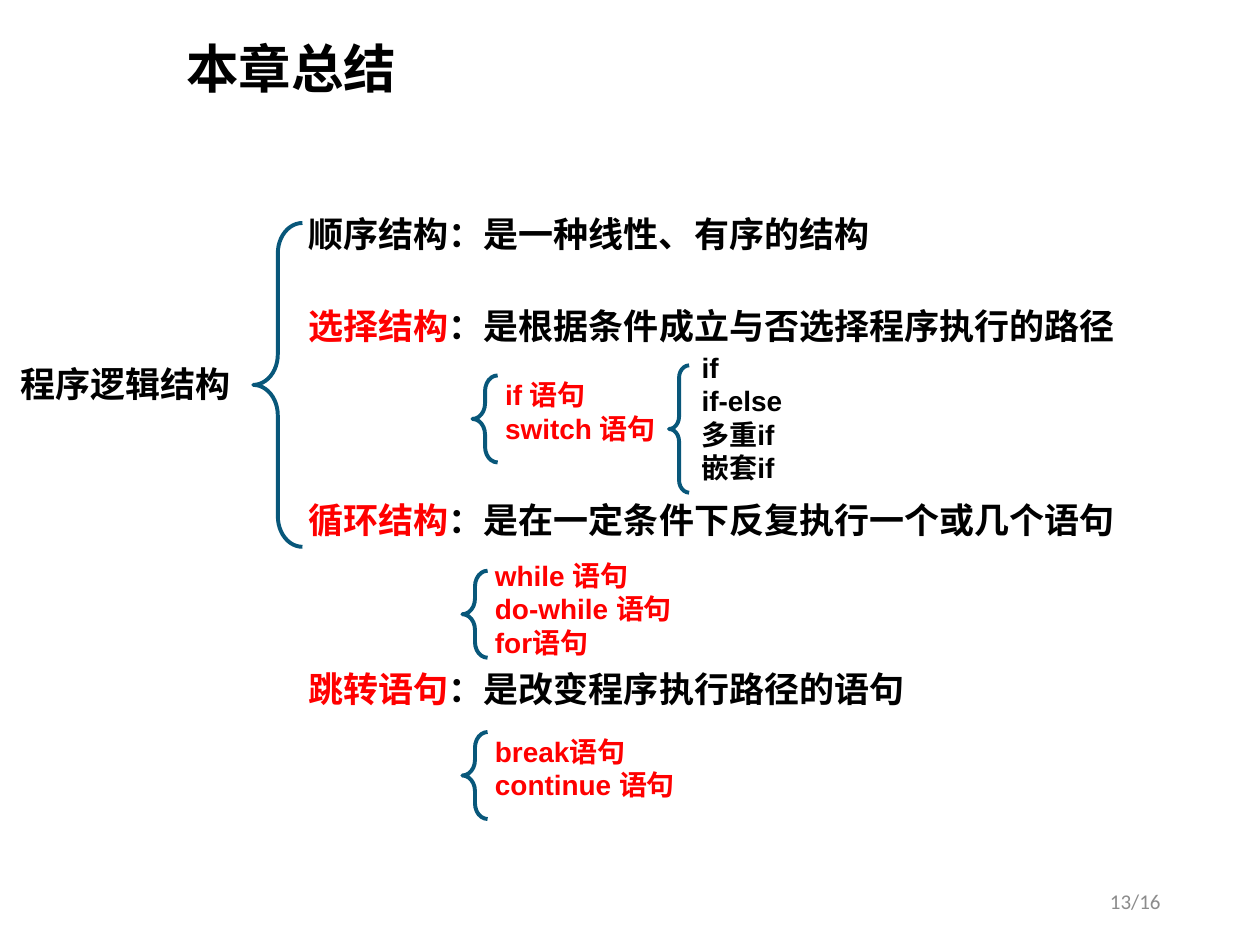
from pptx import Presentation
from pptx.dml.color import RGBColor
from pptx.enum.shapes import MSO_SHAPE
from pptx.enum.text import MSO_ANCHOR, PP_ALIGN
from pptx.util import Inches, Pt

BRACE = MSO_SHAPE.LEFT_BRACE
TOP, MID = MSO_ANCHOR.TOP, MSO_ANCHOR.MIDDLE
LEFT, MIDDLE, RIGHT = PP_ALIGN.LEFT, PP_ALIGN.CENTER, PP_ALIGN.RIGHT

COLORS = {"ink": "000000", "key": "FF0000", "brace": "08577A", "page": "8C8C8C"}

HEAD = {"name": "Noto Sans CJK SC", "size": Pt(30), "bold": True}
MAIN = {"name": "Arial", "size": Pt(20), "bold": True}
ITEM = {"name": "Arial", "size": Pt(16), "bold": True}
FOOT = {"name": "Calibri", "size": Pt(12), "bold": False}

TOPICS = [
    (0, [("顺序结构：是一种线性、有序的结构", "ink")]),
    (28.6, [("选择结构", "key"), ("：是根据条件成立与否选择程序执行的路径", "ink")]),
    (86.6, [("循环结构", "key"), ("：是在一定条件下反复执行一个或几个语句", "ink")]),
    (72.4, [("跳转语句", "key"), ("：是改变程序执行路径的语句", "ink")]),
]
LISTS = [
    ((3.91, 2.95, 2.22, 0.64), "key", ["if 语句", "switch 语句"]),
    ((5.47, 2.73, 2.22, 1.18), "ink", ["if", "if-else", "多重if", "嵌套if"]),
    ((3.83, 4.38, 2.22, 0.91), "key", ["while 语句", "do-while 语句", "for语句"]),
    ((3.83, 5.78, 2.22, 0.64), "key", ["break语句", "continue 语句"]),
]
LABELS = [
    ((1.38, 0.1, 8.62, 0.87), "本章总结", "ink", HEAD, LEFT, MID),
    ((0, 2.83, 1.99, 0.44), "程序逻辑结构", "ink", MAIN, MIDDLE, TOP),
    ((7.06, 6.95, 2.25, 0.4), "13/16", "page", FOOT, RIGHT, MID),
]
BRACES = [
    (2.01, 1.77, 0.39, 2.57),
    (3.75, 2.98, 0.2, 0.69),
    (5.31, 2.9, 0.16, 1.01),
    (3.67, 4.53, 0.2, 0.69),
    (3.67, 5.81, 0.2, 0.69),
]


def paint(name):
    return RGBColor.from_string(COLORS[name])


def add_text(slide, box, lines, style, align=LEFT, anchor=TOP):
    frame = slide.shapes.add_textbox(*map(Inches, box)).text_frame
    frame.word_wrap = True
    frame.vertical_anchor = anchor
    for i, (gap, runs) in enumerate(lines):
        para = frame.add_paragraph() if i else frame.paragraphs[0]
        para.alignment = align
        para.space_before = Pt(gap)
        for text, color in runs:
            run = para.add_run()
            run.text = text
            for key, value in style.items():
                setattr(run.font, key, value)
            run.font.color.rgb = paint(color)
    return frame


def add_brace(slide, box):
    brace = slide.shapes.add_shape(BRACE, *map(Inches, box))
    brace.shadow.inherit = False
    brace.fill.background()
    brace.line.color.rgb = paint("brace")
    brace.line.width = Pt(2.25)
    brace.adjustments[0] = 0.62


def main():
    deck = Presentation()
    deck.slide_width, deck.slide_height = Inches(10), Inches(7.5)
    slide = deck.slides.add_slide(deck.slide_layouts[6])
    for box, text, color, style, align, anchor in LABELS:
        add_text(slide, box, [(0, [(text, color)])], style, align, anchor)
    add_text(slide, (2.35, 1.64, 7.1, 4.88), TOPICS, MAIN)
    for box in BRACES:
        add_brace(slide, box)
    for box, color, items in LISTS:
        add_text(slide, box, [(0, [(item, color)]) for item in items], ITEM)
    deck.save("out.pptx")


if __name__ == "__main__":
    main()
